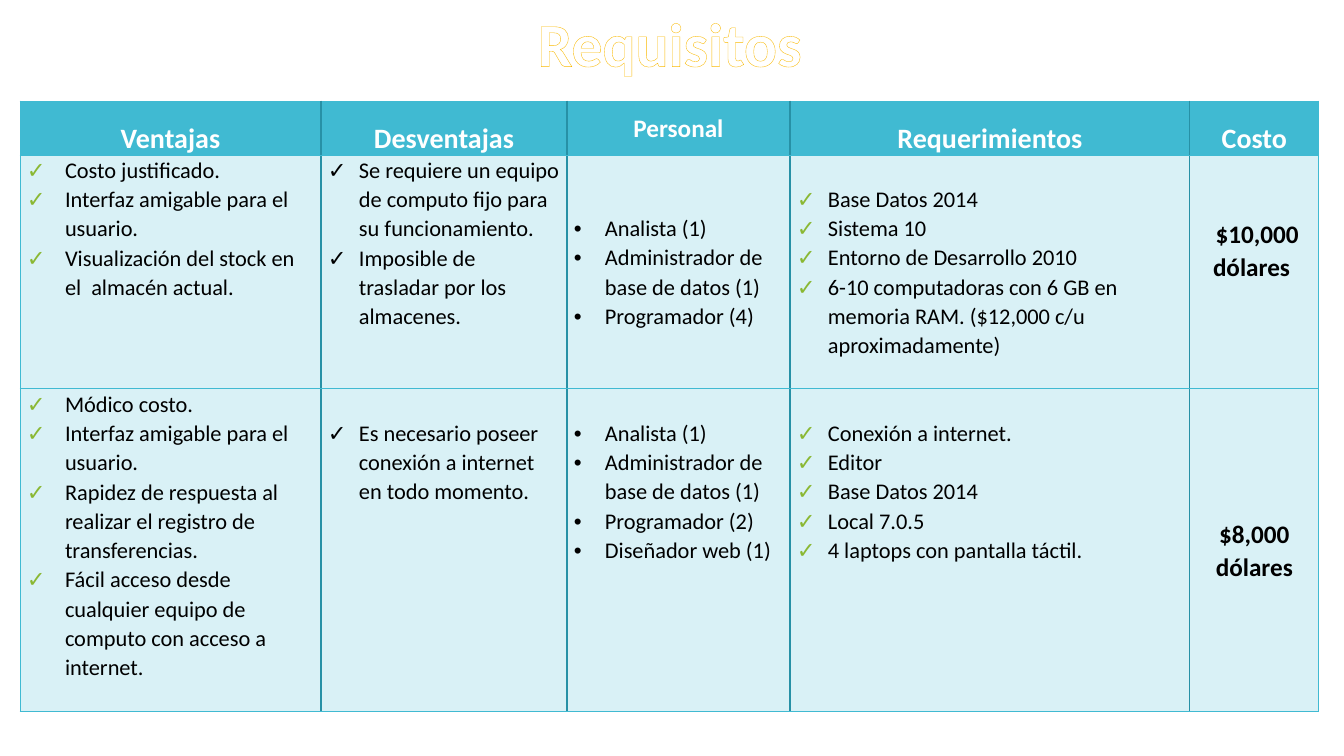
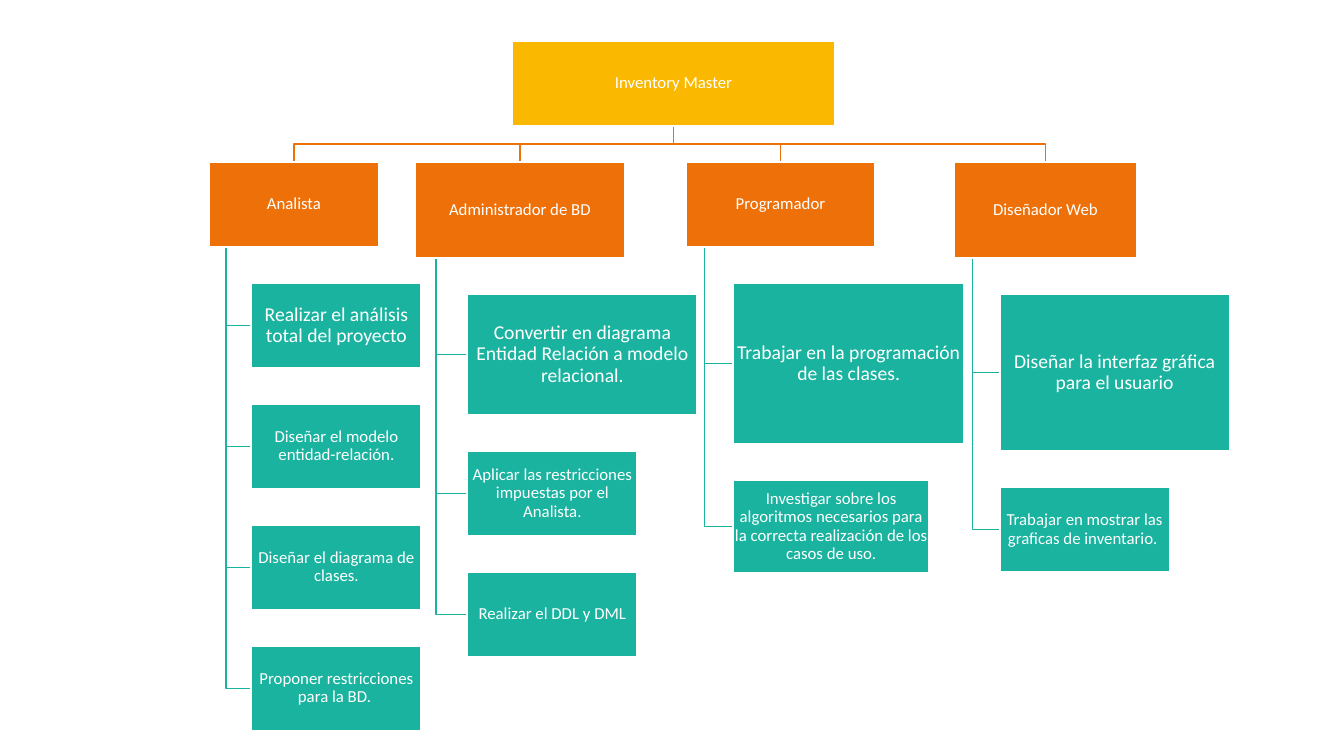
from lxml import etree
from pptx import Presentation
from pptx.dml.color import RGBColor
from pptx.enum import shapes, text
from pptx.oxml import ns
from pptx.util import Pt

SCALE = 914400 / 100.8
FONT = "Calibri"
COLORS = {
    "white": "FFFFFF", "black": "000000", "gold": "FAB900", "orange": "EE7008",
    "teal": "1AB39F", "cyan": "40BAD2", "deep": "2791A6", "pale": "D9F1F6", "green": "8AB833",
}
TOP, MIDDLE = text.MSO_ANCHOR.TOP, text.MSO_ANCHOR.MIDDLE
CENTER = text.PP_ALIGN.CENTER
GAP = 36
CHECK, DOT = "✓", "•"
TABLE_AT = (20, 101)
COLUMNS = (301, 246, 223, 400, 129)
ROWS = (54, 234, 323)
HEADINGS = ("Ventajas", "Desventajas", "Personal", "Requerimientos", "Costo")
LIST_STYLES = (
    {"mark": CHECK, "tint": "green", "indent": 38},
    {"mark": CHECK, "indent": 31},
    {"mark": DOT, "indent": 31},
    {"mark": CHECK, "tint": "green", "indent": 31},
    {"size": 18, "bold": True, "centered": True},
)
OPTIONS = (
    (
        ("Costo justificado.", "Interfaz amigable para el usuario.",
         "Visualización del stock en el  almacén actual."),
        ("Se requiere un equipo de computo fijo para su funcionamiento.",
         "Imposible de trasladar por los almacenes."),
        ("Analista (1)", "Administrador de base de datos (1)", "Programador (4)"),
        ("Base Datos 2014", "Sistema 10", "Entorno de Desarrollo 2010",
         "6-10 computadoras con 6 GB en memoria RAM. ($12,000 c/u aproximadamente)"),
        ("\u00a0$10,000 dólares ",),
    ),
    (
        ("Módico costo.", "Interfaz amigable para el usuario.",
         "Rapidez de respuesta al realizar el registro de transferencias.",
         "Fácil acceso desde cualquier equipo de computo con acceso a internet."),
        ("Es necesario poseer conexión a internet en todo momento.",),
        ("Analista (1)", "Administrador de base de datos (1)", "Programador (2)",
         "Diseñador web (1)"),
        ("Conexión a internet.", "Editor", "Base Datos 2014", "Local 7.0.5",
         "4 laptops con pantalla táctil."),
        ("$8,000 dólares",),
    ),
)
PLACEMENT = (
    ((18, TOP), (18, TOP), (0, MIDDLE), (18, TOP), (18, TOP)),
    ((0, TOP), (0, TOP), (0, MIDDLE), (29, TOP), (62, TOP)),
    ((0, TOP), (29, TOP), (29, TOP), (29, TOP), (0, MIDDLE)),
)
PROJECT = ("Inventory Master", 512, 41, 323, 85)
ROLES = (
    ("Analista", 209, 170, 85, (
        ("Realizar el análisis total del proyecto", 170, 85, 14),
        ("Diseñar el modelo entidad-relación.", 170, 85, 12),
        ("Diseñar el diagrama de clases.", 170, 85, 12),
        ("Proponer restricciones para la BD. ", 170, 85, 12),
    )),
    ("Administrador de BD", 415, 210, 96, (
        ("Convertir en diagrama Entidad Relación a modelo relacional.", 230, 121, 14),
        ("Aplicar las restricciones impuestas por el Analista.", 170, 85, 12),
        ("Realizar el DDL y DML", 170, 85, 12),
    )),
    ("Programador", 686, 189, 85, (
        ("Trabajar en la programación de las clases.", 231, 161, 14),
        ("Investigar sobre los algoritmos necesarios para la correcta realización "
         "de los casos de uso.", 196, 93, 12),
    )),
    ("Diseñador Web", 954, 183, 96, (
        ("Diseñar la interfaz gráfica para el usuario", 230, 157, 14),
        ("Trabajar en mostrar las graficas de inventario. ", 170, 85, 12),
    )),
)


def px(length):
    return round(length * SCALE)


def rgb(name):
    return RGBColor.from_string(COLORS[name])


def assign(target, values):
    for key, value in values.items():
        setattr(target, key, value)


def add_solid(parent, color):
    solid = etree.SubElement(parent, ns.qn("a:solidFill"))
    etree.SubElement(solid, ns.qn("a:srgbClr"), val=COLORS[color])


def paint(target, color):
    target.solid()
    target.fore_color.rgb = rgb(color)


def write(paragraph, words, size, color, bold=False, spacing=1.0, centered=True):
    run = paragraph.add_run()
    run.text = words
    assign(run.font, {"name": FONT, "size": Pt(size), "bold": bold})
    run.font.color.rgb = rgb(color)
    paragraph.line_spacing = spacing
    if centered:
        paragraph.alignment = CENTER
    return run


def add_title(slide, words):
    title = slide.shapes.title
    assign(title, {"left": px(320), "top": 0, "width": px(700), "height": px(85)})
    frame = title.text_frame
    assign(frame, {"word_wrap": True, "vertical_anchor": TOP,
                   "auto_size": text.MSO_AUTO_SIZE.SHAPE_TO_FIT_TEXT})
    run = write(frame.paragraphs[0], words, 44, "white", True)
    outline = etree.Element(ns.qn("a:ln"), w=str(Pt(0.52)))
    add_solid(outline, "gold")
    run.font._element.insert(0, outline)


def add_bullet(paragraph, mark, indent, tint):
    properties = paragraph._p.get_or_add_pPr()
    properties.set("marL", str(px(indent)))
    properties.set("indent", str(-px(indent)))
    if tint:
        color = etree.SubElement(properties, ns.qn("a:buClr"))
        etree.SubElement(color, ns.qn("a:srgbClr"), val=COLORS[tint])
    etree.SubElement(properties, ns.qn("a:buFont"), typeface="Arial")
    etree.SubElement(properties, ns.qn("a:buChar"), char=mark)


def add_borders(cell, column):
    inner = {"lnL": column > 0, "lnR": column < len(COLUMNS) - 1, "lnT": False, "lnB": False}
    properties = cell._tc.get_or_add_tcPr()
    for edge, divides in inner.items():
        border = etree.SubElement(properties, ns.qn("a:" + edge), w=str(Pt(1 if divides else 0.75)))
        add_solid(border, "deep" if divides else "cyan")


def fill_cell(cell, items, size=16, color="black", bold=False, centered=False,
              mark=None, indent=0, tint=None):
    frame = cell.text_frame
    for position, words in enumerate(items):
        paragraph = frame.add_paragraph() if position else frame.paragraphs[0]
        write(paragraph, words, size, color, bold, 1.07, centered)
        if mark:
            add_bullet(paragraph, mark, indent, tint)


def add_requirements(slide):
    left, top = TABLE_AT
    requirements = slide.shapes.add_table(
        len(ROWS), len(COLUMNS), px(left), px(top), px(sum(COLUMNS)), px(sum(ROWS))).table
    assign(requirements, {"first_row": False, "horz_banding": False})
    for column, width in zip(requirements.columns, COLUMNS):
        column.width = px(width)
    for row, height in zip(requirements.rows, ROWS):
        row.height = px(height)
    for row, placements in enumerate(PLACEMENT):
        for column, (drop, anchor) in enumerate(placements):
            cell = requirements.cell(row, column)
            assign(cell, {"margin_left": px(7), "margin_right": px(7), "margin_top": px(drop),
                          "margin_bottom": 0, "vertical_anchor": anchor})
            add_borders(cell, column)
            paint(cell.fill, "pale" if row else "cyan")
            if row:
                fill_cell(cell, OPTIONS[row - 1][column], **LIST_STYLES[column])
            else:
                heading = HEADINGS[column]
                fill_cell(cell, (heading,), 18 if heading == "Personal" else 20,
                          "white", True, True)


def add_box(slide, words, left, top, width, height, color, size=12):
    box = slide.shapes.add_shape(
        shapes.MSO_SHAPE.RECTANGLE, px(left), px(top), px(width), px(height))
    box.shadow.inherit = False
    paint(box.fill, color)
    paint(box.line.fill, "white")
    box.line.width = Pt(1.35)
    frame = box.text_frame
    assign(frame, {"word_wrap": True, "vertical_anchor": MIDDLE})
    assign(frame, {"margin_" + side: px(1) for side in ("left", "top", "right", "bottom")})
    write(frame.paragraphs[0], words, size, "white", spacing=0.9)


def add_branch(slide, points, color):
    start, *others = [(px(x), px(y)) for x, y in points]
    builder = slide.shapes.build_freeform(*start)
    builder.add_line_segments(others, close=False)
    branch = builder.convert_to_shape()
    branch.shadow.inherit = False
    branch.fill.background()
    paint(branch.line.fill, color)
    branch.line.width = Pt(0.85)


def add_role(slide, role, left, top, width, height, tasks):
    bottom = top + height
    trunk = left + width * 0.1
    task_left = left + width * 0.25
    task_top = bottom + GAP
    for task, task_width, task_height, size in tasks:
        middle = task_top + task_height / 2
        add_branch(slide, ((trunk, bottom), (trunk, middle), (task_left, middle)), "teal")
        add_box(slide, task, task_left, task_top, task_width, task_height, "teal", size)
        task_top += task_height + GAP
    add_box(slide, role, left, top, width, height, "orange")


def add_organization(slide):
    project, left, top, width, height = PROJECT
    center, bottom = left + width / 2, top + height
    role_top, fork = bottom + GAP, bottom + GAP / 2
    for role, role_left, role_width, role_height, tasks in ROLES:
        role_center = role_left + role_width / 2
        add_branch(slide, ((center, bottom), (center, fork), (role_center, fork),
                           (role_center, role_top)), "orange")
        add_role(slide, role, role_left, role_top, role_width, role_height, tasks)
    add_box(slide, project, left, top, width, height, "gold")


def main():
    deck = Presentation()
    assign(deck, {"slide_width": px(1344), "slide_height": px(756)})
    title_only, blank = deck.slide_layouts[5], deck.slide_layouts[6]
    requirements = deck.slides.add_slide(title_only)
    add_title(requirements, "Requisitos")
    add_requirements(requirements)
    add_organization(deck.slides.add_slide(blank))
    deck.save("out.pptx")


main()
